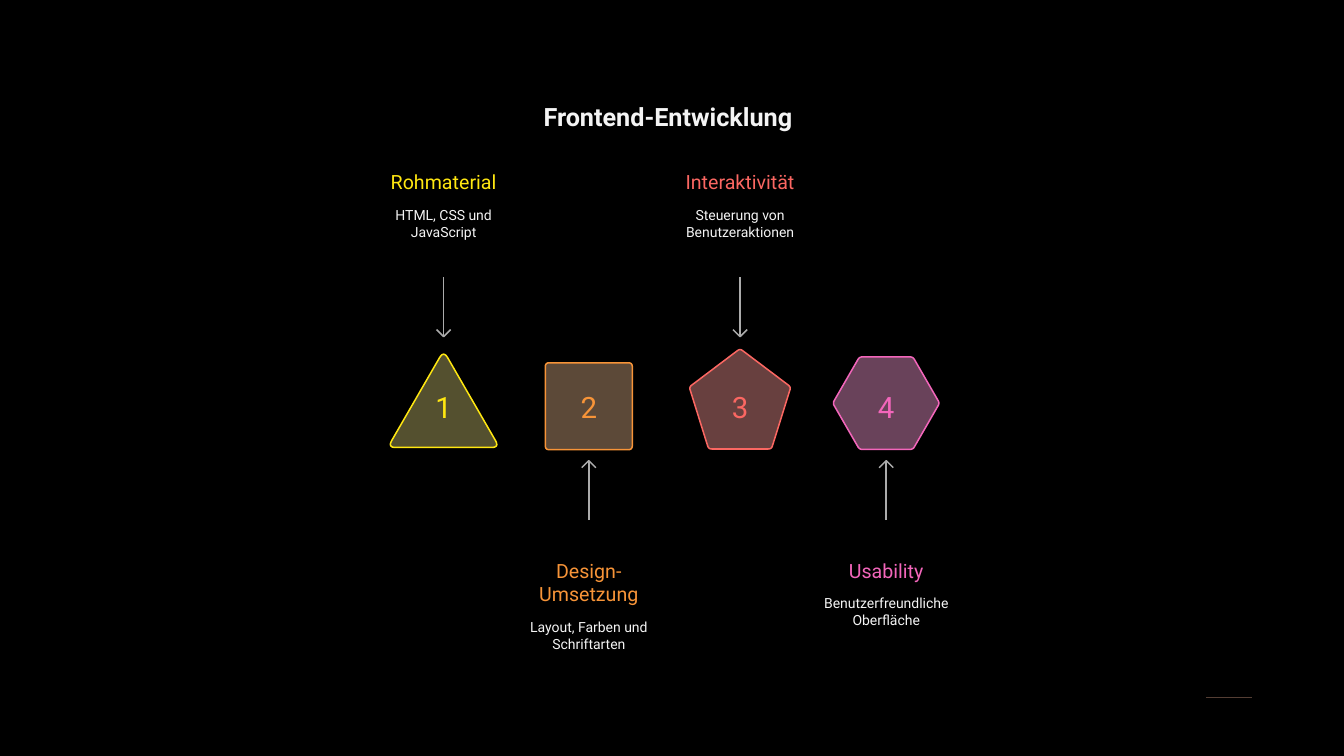
import math

from lxml import etree
from pptx import Presentation
from pptx.dml.color import RGBColor
from pptx.enum.shapes import MSO_CONNECTOR
from pptx.enum.text import MSO_ANCHOR, MSO_AUTO_SIZE, PP_ALIGN
from pptx.oxml.ns import qn
from pptx.util import Inches, Pt

CENTER = PP_ALIGN.CENTER
TOP = MSO_ANCHOR.TOP
GROW = MSO_AUTO_SIZE.SHAPE_TO_FIT_TEXT
STRAIGHT = MSO_CONNECTOR.STRAIGHT

FONT = "Roboto"
LINE_WIDTH = 1.08
COLORS = {
    "background": "000000",
    "text": "F4F4F4",
    "arrow": "ABABAB",
    "footer": "543E34",
    "yellow": "FFE711",
    "yellow_fill": "54502F",
    "orange": "F79438",
    "orange_fill": "5C4938",
    "red": "FB6762",
    "red_fill": "68403F",
    "pink": "F366BB",
    "pink_fill": "69425A",
}

# Center x, color, labels above?, heading and its width, description and its width
STEPS = [
    (4.4, "yellow", True, "Rohmaterial", 1.08, "HTML, CSS und\vJavaScript", 0.97),
    (5.84, "orange", False, "Design-\vUmsetzung", 1.02,
     "Layout, Farben und\vSchriftarten", 1.19),
    (7.34, "red", True, "Interaktivität", 1.11,
     "Steuerung von\vBenutzeraktionen", 1.09),
    (8.79, "pink", False, "Usability", 0.76,
     "Benutzerfreundliche\vOberfläche", 1.25),
]
# Sides, center y, radius x, radius y, first angle in degrees, corner trim
POLYGONS = [
    (3, 4.12, 0.64, 0.64, -90, 0.08),
    (4, 4.03, 0.61, 0.61, -45, 0.04),
    (5, 4.01, 0.53, 0.55, -90, 0.03),
    (6, 4.0, 0.53, 0.53, 0, 0.03),
]


def rgb(name):
    return RGBColor.from_string(COLORS[name])


def set_text(sp, text, size, color, bold=False):
    tf = sp.text_frame
    tf.margin_left = tf.margin_right = tf.margin_top = tf.margin_bottom = 0
    tf.word_wrap = False
    tf.auto_size = GROW
    tf.vertical_anchor = TOP
    p = tf.paragraphs[0]
    p.text = text
    p.alignment = CENTER
    p.font.name = FONT
    p.font.size = Pt(size)
    p.font.bold = bold
    p.font.color.rgb = rgb(color)


def add_label(s, cx, top, width, height, text, size, color):
    sp = s.shapes.add_textbox(
        Inches(cx - width / 2), Inches(top), Inches(width), Inches(height))
    set_text(sp, text, size, color)


def add_line(shapes, x1, y1, x2, y2, color, width):
    line = shapes.add_connector(
        STRAIGHT, Inches(x1), Inches(y1), Inches(x2), Inches(y2))
    line.line.color.rgb = rgb(color)
    line.line.width = Pt(width)
    etree.SubElement(line._element.spPr, qn("a:effectLst"))


def add_outline(shapes, points, color, fill=None, close=True):
    start, *others = [(Inches(x), Inches(y)) for x, y in points]
    builder = shapes.build_freeform(*start)
    builder.add_line_segments(others, close=close)
    sp = builder.convert_to_shape()
    sp.shadow.inherit = False
    if fill:
        sp.fill.solid()
        sp.fill.fore_color.rgb = rgb(fill)
    else:
        sp.fill.background()
    sp.line.color.rgb = rgb(color)
    sp.line.width = Pt(LINE_WIDTH)


def toward(start, end, distance):
    t = distance / math.dist(start, end)
    return tuple(a + (b - a) * t for a, b in zip(start, end))


def rounded_polygon(cx, sides, cy, rx, ry, first_angle, trim):
    """Points of an even polygon whose corners are quadratic curves."""
    angles = [math.radians(first_angle + 360 * i / sides) for i in range(sides)]
    corners = [(cx + rx * math.cos(a), cy + ry * math.sin(a)) for a in angles]
    points = []
    for i, corner in enumerate(corners):
        start = toward(corner, corners[i - 1], trim)
        end = toward(corner, corners[(i + 1) % sides], trim)
        for step in range(9):
            t = step / 8
            points.append(tuple(
                (1 - t) ** 2 * a + 2 * t * (1 - t) * b + t ** 2 * c
                for a, b, c in zip(start, corner, end)))
    return points


def add_arrow(s, x, tail, tip):
    group = s.shapes.add_group_shape()
    add_line(group.shapes, x, tail, x, tip, "arrow", LINE_WIDTH)
    barb = tip + math.copysign(0.07, tail - tip)
    add_outline(group.shapes, [(x - 0.07, barb), (x, tip), (x + 0.07, barb)],
                "arrow", close=False)


def add_step(s, number, step, polygon):
    cx, color, above, heading, heading_width, description, width = step
    add_outline(s.shapes, rounded_polygon(cx, *polygon), color, color + "_fill")
    add_label(s, cx, 3.86, 0.17, 0.36, str(number), 21, color)
    if above:
        add_arrow(s, cx, 2.75, 3.34)
    else:
        add_arrow(s, cx, 5.16, 4.57)

    # The description follows the heading, however many lines it has
    top = 1.69 if above else 5.54
    height = 0.24 * len(heading.split("\v"))
    add_label(s, cx, top, heading_width, height, heading, 14, color)
    add_label(s, cx, top + height + 0.12, width, 0.34, description, 10, "text")


def main():
    prs = Presentation()
    prs.slide_width, prs.slide_height = Inches(13.33), Inches(7.5)
    s = prs.slides.add_slide(prs.slide_layouts[5])
    s.background.fill.solid()
    s.background.fill.fore_color.rgb = rgb("background")

    # Title
    title = s.shapes.title
    title.left, title.top = Inches(5.37), Inches(1)
    title.width, title.height = Inches(2.51), Inches(0.3)
    set_text(title, "Frontend-Entwicklung", 18, "text", bold=True)

    # Steps
    for number, (step, polygon) in enumerate(zip(STEPS, POLYGONS), start=1):
        add_step(s, number, step, polygon)

    # Footer rule
    add_line(s.shapes, 11.96, 6.92, 12.42, 6.92, "footer", 1.25)

    prs.save("out.pptx")


if __name__ == "__main__":
    main()
